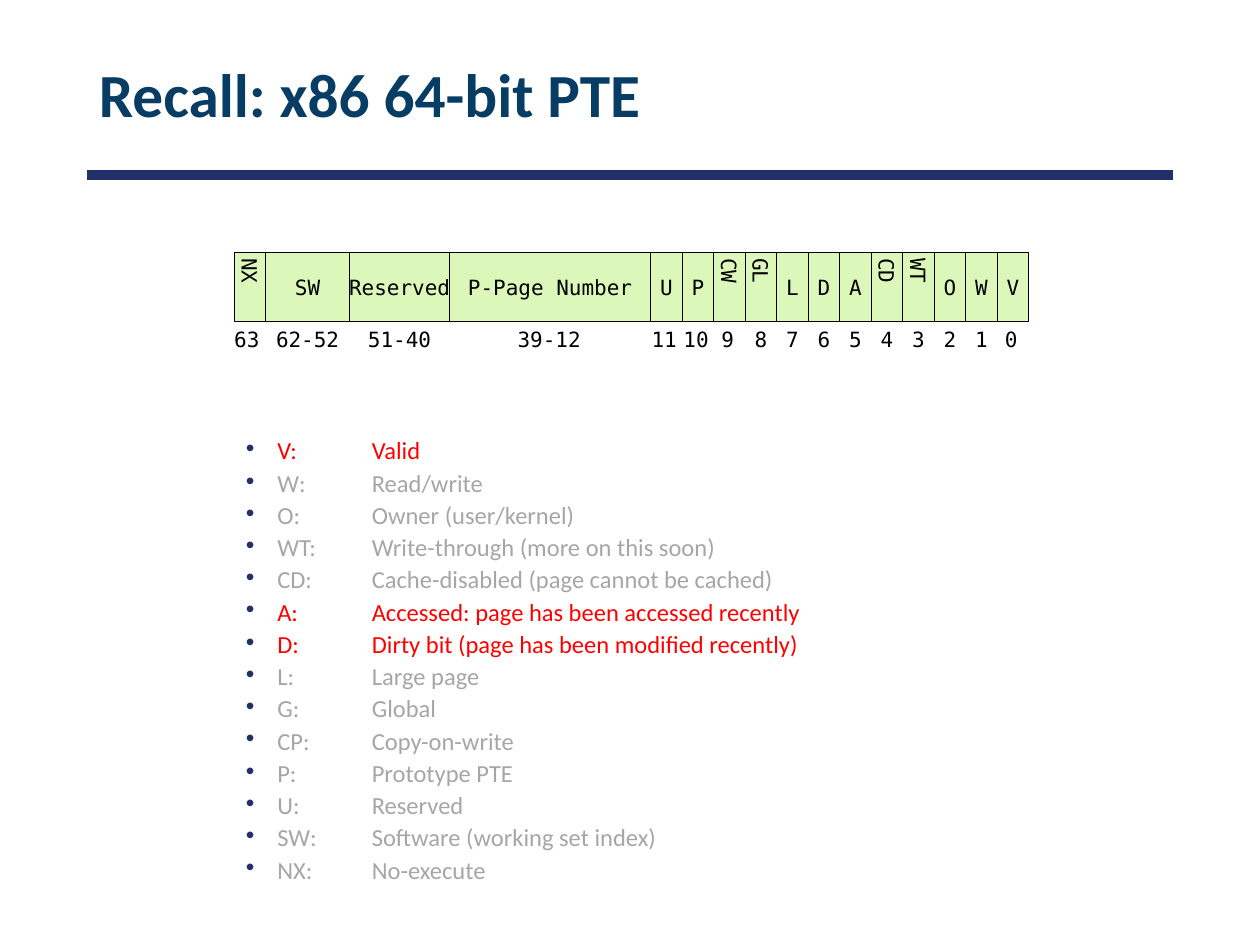
from dataclasses import dataclass

from lxml import etree
from pptx import Presentation
from pptx import util as u
from pptx.dml.color import RGBColor
from pptx.enum import shapes, text
from pptx.oxml import ns


@dataclass(frozen=True)
class Theme:
    title: str = "073C65"
    navy: str = "21306A"
    cell: str = "DCF7BA"
    ink: str = "000000"
    active: str = "FF0000"
    muted: str = "A6A6A6"
    sans: str = "Calibri"
    mono: str = "DejaVu Sans Mono"
    title_size: float = 35
    list_size: float = 14
    field_size: float = 12


T = Theme()
BIT = 18
ROW_LEFT, ROW_TOP, ROW_HEIGHT = 133.9, 144, 39.6

# name, bits, width, vertical name, shift of the bits label
FIELDS = [
    ("NX", "63", BIT, True, -1.8),
    ("SW", "62-52", 47.8, False, 0),
    ("Reserved", "51-40", 57.3, False, 0),
    ("P-Page Number", "39-12", 114.8, False, -0.5),
    ("U", "11", BIT, False, -1.2),
    ("P", "10", BIT, False, -1),
    ("CW", "9", BIT, True, -1),
    ("GL", "8", BIT, True, 0),
    ("L", "7", BIT, False, 0),
    ("D", "6", BIT, False, 0),
    ("A", "5", BIT, False, 0),
    ("CD", "4", BIT, True, 0),
    ("WT", "3", BIT, True, 0),
    ("O", "2", BIT, False, 0),
    ("W", "1", BIT, False, 0),
    ("V", "0", BIT, False, -1),
]

MEANINGS = [
    ("V", "Valid"),
    ("W", "Read/write"),
    ("O", "Owner (user/kernel)"),
    ("WT", "Write-through (more on this soon)"),
    ("CD", "Cache-disabled (page cannot be cached)"),
    ("A", "Accessed: page has been accessed recently"),
    ("D", "Dirty bit (page has been modified recently)"),
    ("L", "Large page"),
    ("G", "Global"),
    ("CP", "Copy-on-write"),
    ("P", "Prototype PTE"),
    ("U", "Reserved"),
    ("SW", "Software (working set index)"),
    ("NX", "No-execute"),
]
ACTIVE = {"V", "A", "D"}


def rgb(color):
    return RGBColor.from_string(color)


def box(*lengths):
    return [u.Pt(n) for n in lengths]


def add_run(p, words, font, size, color, bold=False):
    r = p.add_run()
    r.text = words
    r.font.name, r.font.size, r.font.bold = font, u.Pt(size), bold
    r.font.color.rgb = rgb(color)


def add_title(s, words):
    tf = s.shapes.add_textbox(*box(49.4, 16.6, 620.6, 77.8)).text_frame
    tf.word_wrap = True
    tf.vertical_anchor = text.MSO_ANCHOR.MIDDLE
    p = tf.paragraphs[0]
    p.line_spacing = 0.9
    add_run(p, words, T.sans, T.title_size, T.title, bold=True)


def add_rule(s):
    line = s.shapes.add_connector(
        shapes.MSO_CONNECTOR.STRAIGHT, *box(49.7, 100.1, 670.3, 100.1))
    line.line.color.rgb = rgb(T.navy)
    line.line.width = u.Pt(6)
    etree.SubElement(line._element.spPr, ns.qn("a:effectLst"))


def center_text(sp, words):
    tf = sp.text_frame
    tf.word_wrap = False
    tf.vertical_anchor = text.MSO_ANCHOR.MIDDLE
    p = tf.paragraphs[0]
    p.alignment = text.PP_ALIGN.CENTER
    add_run(p, words, T.mono, T.field_size, T.ink)


def add_field(group, left, width, name, vertical):
    sp = group.shapes.add_shape(
        shapes.MSO_SHAPE.RECTANGLE, *box(left, ROW_TOP, width, ROW_HEIGHT))
    sp.shadow.inherit = False
    sp.fill.solid()
    sp.fill.fore_color.rgb = rgb(T.cell)
    sp.line.color.rgb = rgb(T.ink)
    sp.line.width = u.Pt(0.5)
    center_text(sp, name)
    if vertical:
        bodyPr = sp.text_frame._txBody.bodyPr
        bodyPr.set("vert", "eaVert")
        for side, inset in zip("ltrb", box(7.2, 3.6, 7.2, 3.6)):
            bodyPr.set(f"{side}Ins", str(inset))


def add_bits(group, center, bits):
    width = 17.2 + 7.3 * len(bits)
    sp = group.shapes.add_textbox(
        *box(center - width / 2, ROW_TOP + ROW_HEIGHT + 0.3, width, 19.6))
    center_text(sp, bits)
    sp.text_frame.auto_size = text.MSO_AUTO_SIZE.SHAPE_TO_FIT_TEXT


def add_entry(s):
    group = s.shapes.add_group_shape()
    left = ROW_LEFT
    for name, bits, width, vertical, shift in FIELDS:
        add_field(group, left, width, name, vertical)
        add_bits(group, left + width / 2 + shift, bits)
        left += width


def add_bullet(p):
    pPr = p._p.get_or_add_pPr()
    pPr.set("marL", str(u.Pt(18)))
    pPr.set("indent", str(u.Pt(-18)))
    color = etree.SubElement(pPr, ns.qn("a:buClr"))
    etree.SubElement(color, ns.qn("a:srgbClr"), val=T.navy)
    etree.SubElement(pPr, ns.qn("a:buFont"), typeface="Arial")
    etree.SubElement(pPr, ns.qn("a:buChar"), char="•")
    tabs = etree.SubElement(pPr, ns.qn("a:tabLst"))
    etree.SubElement(tabs, ns.qn("a:tab"), pos=str(u.Pt(72)), algn="l")


def add_meanings(s):
    tf = s.shapes.add_textbox(*box(133.4, 252.6, 378.7, 246.3)).text_frame
    tf.word_wrap = True
    for i, (name, meaning) in enumerate(MEANINGS):
        p = tf.add_paragraph() if i else tf.paragraphs[0]
        p.line_spacing = 0.5
        p.space_before = u.Pt(10)
        add_bullet(p)
        color = T.active if name in ACTIVE else T.muted
        add_run(p, f"{name}:\t{meaning}", T.sans, T.list_size, color)


def main():
    prs = Presentation()
    prs.slide_width, prs.slide_height = box(720, 540)
    s = prs.slides.add_slide(prs.slide_layouts[6])
    add_rule(s)
    add_title(s, "Recall: x86 64-bit PTE")
    add_meanings(s)
    add_entry(s)
    prs.save("out.pptx")


if __name__ == "__main__":
    main()
